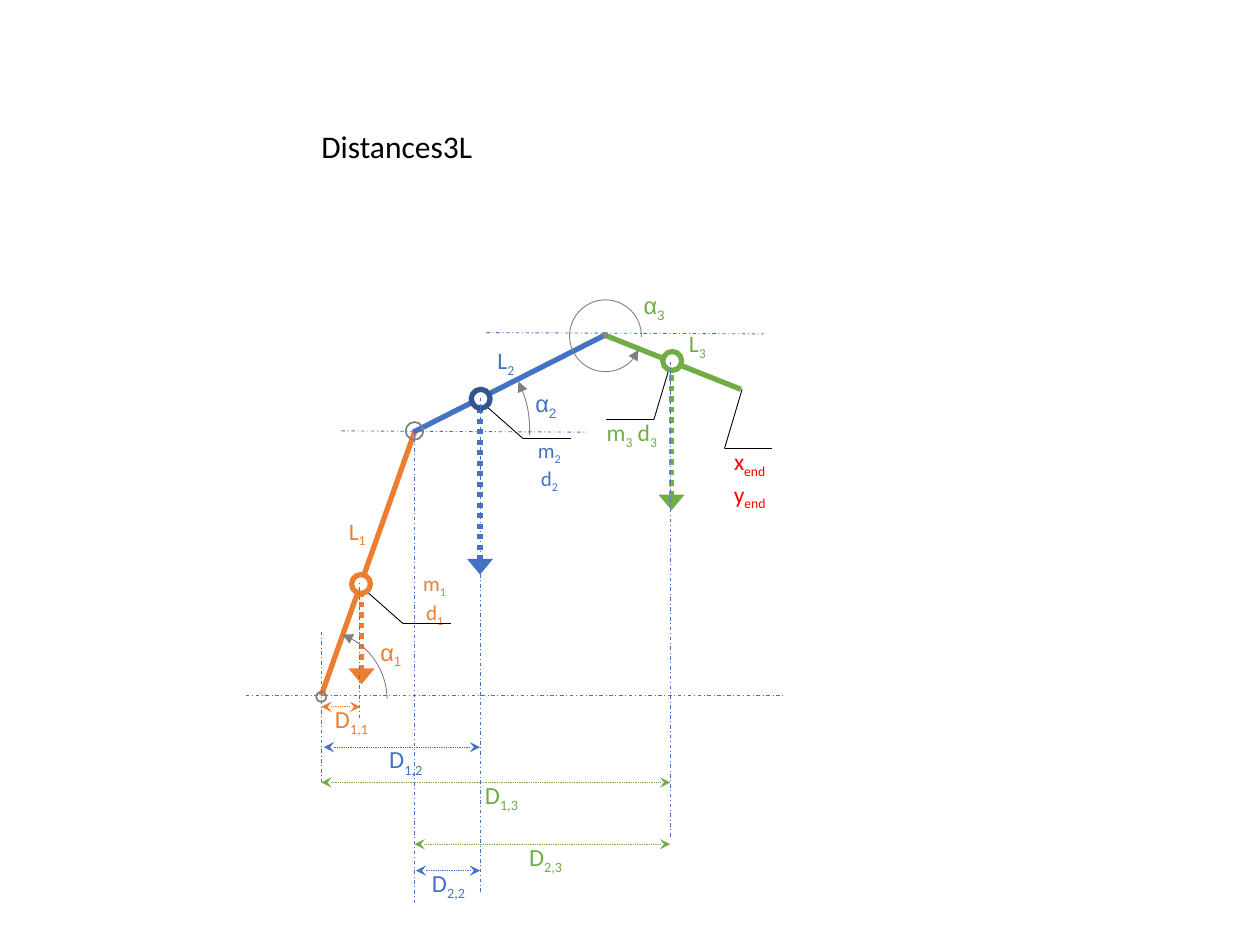
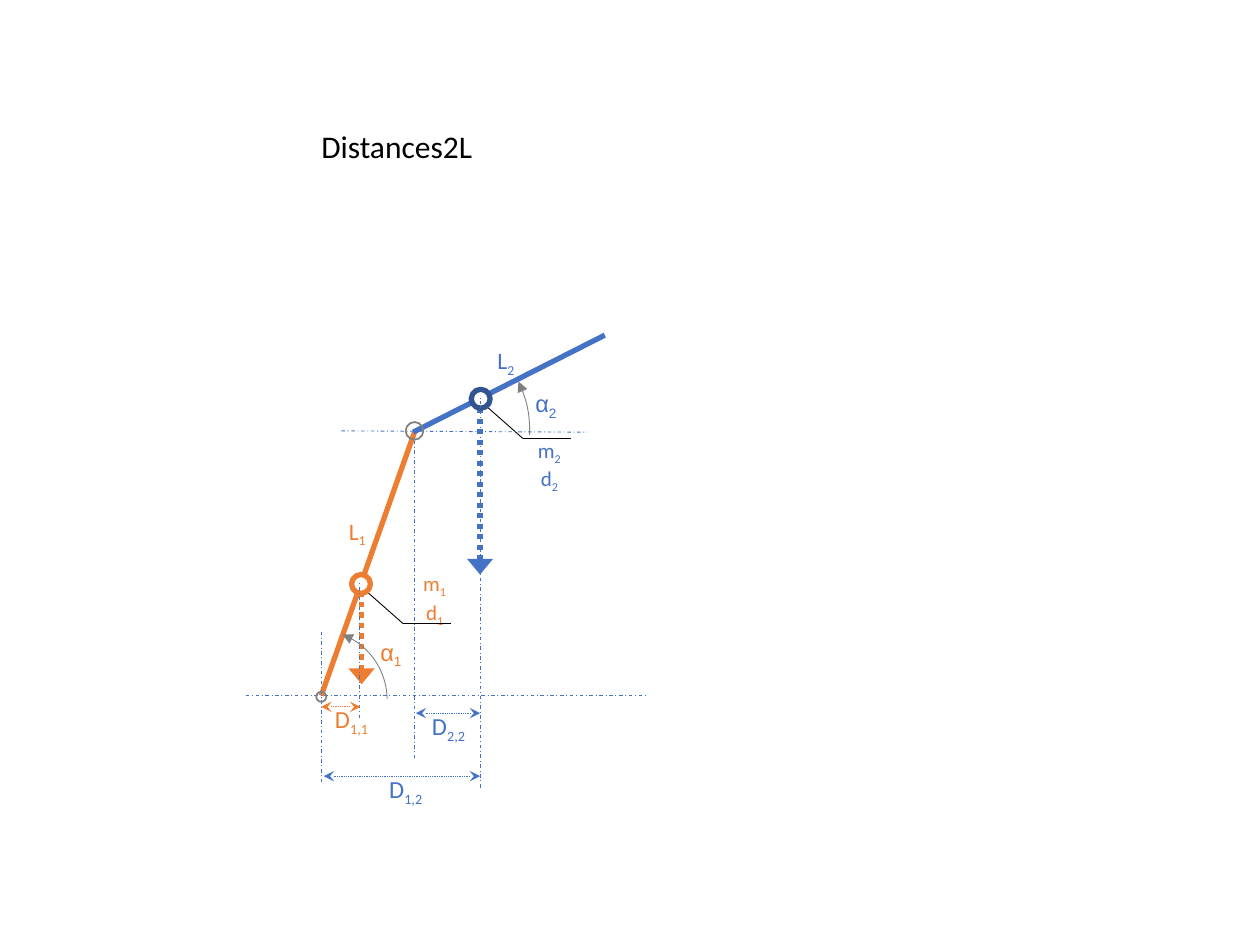
from lxml.etree import SubElement
from pptx import Presentation
from pptx.dml.color import RGBColor
from pptx.enum.dml import MSO_LINE
from pptx.enum.shapes import MSO_CONNECTOR, MSO_SHAPE
from pptx.enum.text import MSO_ANCHOR, MSO_AUTO_SIZE, PP_ALIGN
from pptx.oxml.ns import qn
from pptx.util import Inches, Pt

ORANGE = RGBColor(0xED, 0x7D, 0x31)
BLUE = RGBColor(0x44, 0x72, 0xC4)
NAVY = RGBColor(0x32, 0x54, 0x91)
GREEN = RGBColor(0x70, 0xAD, 0x47)
RED = RGBColor(0xFF, 0x00, 0x00)
GRAY = RGBColor(0x80, 0x80, 0x80)
BLACK = RGBColor(0x00, 0x00, 0x00)
WHITE = RGBColor(0xFF, 0xFF, 0xFF)

LINK_COLOURS = [ORANGE, BLUE, GREEN]
MASS_COLOURS = [ORANGE, NAVY, GREEN]
LINKS = [((2.55, 5.52), (3.29, 3.43)), ((3.28, 3.43), (4.8, 2.66)), ((5.88, 3.09), (4.8, 2.66))]
LENGTH_LABELS = [(2.67, 4.05), (3.85, 2.7), (5.37, 2.56)]
ANGLE_LABELS = [(2.92, 5.01), (4.15, 3.04), (5.01, 2.26)]
MASS_LABELS = [(3.18, 4.48, 0.54, 0.5, 12), (4.09, 3.42, 0.54, 0.5, 12), (4.66, 3.27, 0.71, 0.33, 13.5)]
LEADERS = [
    [(2.86, 4.65), (3.2, 4.95), (3.58, 4.95)],
    [(3.81, 3.18), (4.15, 3.48), (4.53, 3.48)],
    [(5.33, 2.86), (5.19, 3.33), (4.81, 3.33)],
]
END_LEADER = [(5.89, 3.09), (5.75, 3.56), (6.13, 3.56)]
WEIGHTS = [((2.87, 5.43), (2.87, 4.63)), ((3.81, 4.56), (3.81, 3.16)), ((5.33, 4.05), (5.33, 2.87))]
MASSES = [(2.79, 4.56), (3.74, 3.09), (5.26, 2.79)]
ARCS = [
    (2.02, 5.02, 1.07, 1.02, 138.23),
    (2.38, 2.51, 1.82, 1.83, 165.9),
    (4.52, 2.38, 0.57, 0.57, 195.08),
]
JOINTS = [(2.51, 5.49, 0.08), (3.22, 3.35, 0.14), (4.78, 2.64, 0.04)]
ARC_END = 182.32
ARC_TURN = 57.8

SLIDES = [
    {
        "count": 3,
        "axes": [((1.95, 5.52), (6.22, 5.52)), ((2.71, 3.42), (4.66, 3.43)), ((3.86, 2.64), (6.06, 2.65))],
        "drops": [(2.55, 6.21, 5.02), (2.85, 5.7, 4.63), (3.29, 7.17, 3.42), (3.81, 7.08, 3.16), (5.32, 6.64, 2.87)],
        "distances": [
            ("1,1", 2.55, 2.86, 5.61, 2.56, ORANGE),
            ("1,2", 2.57, 3.81, 5.93, 2.99, BLUE),
            ("1,3", 2.55, 5.32, 6.21, 3.75, GREEN),
            ("2,3", 3.29, 5.32, 6.7, 4.1, GREEN),
            ("2,2", 3.3, 3.81, 6.91, 3.33, BLUE),
        ],
    },
    {
        "count": 2,
        "axes": [((1.95, 5.52), (5.12, 5.52)), ((2.71, 3.42), (4.66, 3.43))],
        "drops": [(2.55, 6.21, 5.02), (2.85, 5.7, 4.63), (3.29, 6.02, 3.42), (3.81, 6.25, 3.16)],
        "distances": [
            ("1,1", 2.55, 2.86, 5.61, 2.56, ORANGE),
            ("2,2", 3.3, 3.81, 5.66, 3.33, BLUE),
            ("1,2", 2.57, 3.81, 6.16, 2.99, BLUE),
        ],
    },
]


def write(box, text, at, size, colour, font="Calibri", align=PP_ALIGN.LEFT, wrap=False):
    box.left, box.top, box.width, box.height = [Inches(length) for length in at]
    frame = box.text_frame
    frame.word_wrap = wrap
    frame.auto_size = MSO_AUTO_SIZE.NONE
    frame.vertical_anchor = MSO_ANCHOR.TOP
    para = frame.paragraphs[0]
    para.alignment = align
    for index, piece in enumerate(text.split("_")):
        if piece:
            span = para.add_run()
            span.text = piece
            span.font.name = font
            span.font.size = Pt(size)
            span.font.color.rgb = colour
            if index % 2:
                span.font._element.set("baseline", "-25000")


def draw_line(page, start, end, colour, width=0.5, dash=None, head=None, tail=None, head_width="med"):
    x1, y1, x2, y2 = [Inches(length) for length in start + end]
    line = page.shapes.add_connector(MSO_CONNECTOR.STRAIGHT, x1, y1, x2, y2)
    line.line.color.rgb = colour
    line.line.width = Pt(width)
    if dash:
        line.line.dash_style = dash
    outline = line.line._get_or_add_ln()
    if head:
        SubElement(outline, qn("a:headEnd"), type=head, w=head_width)
    if tail:
        SubElement(outline, qn("a:tailEnd"), type=tail)
    SubElement(line._element.spPr, qn("a:effectLst"))


deck = Presentation()
deck.slide_width = Inches(10)
deck.slide_height = Inches(7.5)

for plan in SLIDES:
    count = plan["count"]
    page = deck.slides.add_slide(deck.slide_layouts[5])
    write(page.shapes.title, f"Distances{count}L", (2.45, 0.96, 1.41, 0.4), 18, BLACK)

    for (start, end), colour in zip(LINKS[:count], LINK_COLOURS):
        draw_line(page, start, end, colour, width=3)

    for number in range(1, count + 1):
        colour = LINK_COLOURS[number - 1]
        box = page.shapes.add_textbox(0, 0, 0, 0)
        write(box, f"L_{number}_", LENGTH_LABELS[number - 1] + (0.34, 0.33), 13.5, colour)
        box = page.shapes.add_textbox(0, 0, 0, 0)
        write(box, f"α_{number}_", ANGLE_LABELS[number - 1] + (0.38, 0.33), 13.5, colour, font="Arial")
        *place, size = MASS_LABELS[number - 1]
        box = page.shapes.add_textbox(0, 0, 0, 0)
        write(box, f"m_{number}_ d_{number}_", place, size, colour, align=PP_ALIGN.CENTER, wrap=True)

    leaders = LEADERS[:count]
    if count == 3:
        leaders = leaders + [END_LEADER]
        box = page.shapes.add_textbox(0, 0, 0, 0)
        write(box, "x_end _y_end_", (5.68, 3.5, 0.54, 0.56), 13.5, RED, align=PP_ALIGN.CENTER, wrap=True)
    for tip, bend, end in leaders:
        draw_line(page, tip, bend, BLACK)
        draw_line(page, bend, end, BLACK)

    for start, end in plan["axes"]:
        draw_line(page, start, end, BLUE, dash=MSO_LINE.DASH_DOT)

    for (start, end), colour in zip(WEIGHTS[:count], LINK_COLOURS):
        draw_line(page, start, end, colour, width=3, dash=MSO_LINE.ROUND_DOT, head="triangle", head_width="lg")

    for (left, top), colour in zip(MASSES[:count], MASS_COLOURS):
        mass = page.shapes.add_shape(MSO_SHAPE.OVAL, Inches(left), Inches(top), Inches(0.15), Inches(0.15))
        mass.shadow.inherit = False
        mass.fill.solid()
        mass.fill.fore_color.rgb = WHITE
        mass.line.color.rgb = colour
        mass.line.width = Pt(3)

    for x, bottom, top in plan["drops"]:
        draw_line(page, (x, bottom), (x, top), BLUE, dash=MSO_LINE.DASH_DOT)

    for name, left, right, y, label_left, colour in plan["distances"]:
        draw_line(page, (left, y), (right, y), colour, dash=MSO_LINE.ROUND_DOT, head="stealth", tail="stealth")
        box = page.shapes.add_textbox(0, 0, 0, 0)
        write(box, f"D_{name}_", (label_left, y - 0.07, 0.49, 0.34), 14, colour)

    for (left, top, width, height, arc_start), (joint_left, joint_top, joint_size) in zip(ARCS[:count], JOINTS):
        arc = page.shapes.add_shape(MSO_SHAPE.ARC, Inches(left), Inches(top), Inches(width), Inches(height))
        arc.rotation = ARC_TURN
        arc.adjustments[0] = arc_start
        arc.adjustments[1] = ARC_END
        joint = page.shapes.add_shape(
            MSO_SHAPE.OVAL, Inches(joint_left), Inches(joint_top), Inches(joint_size), Inches(joint_size)
        )
        for shape, thickness in ((arc, 0.5), (joint, 1)):
            shape.shadow.inherit = False
            shape.fill.background()
            shape.line.color.rgb = GRAY
            shape.line.width = Pt(thickness)
        SubElement(arc.line._get_or_add_ln(), qn("a:headEnd"), type="triangle")

deck.save("out.pptx")
